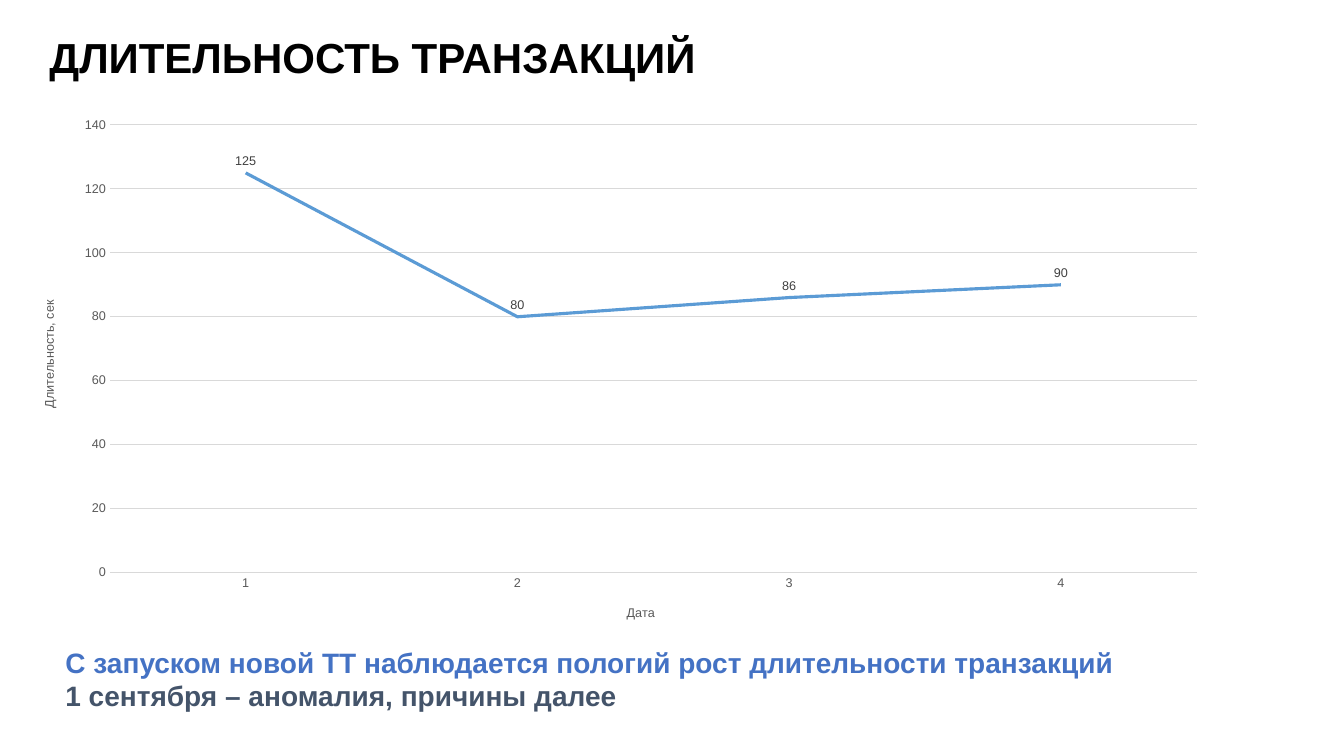
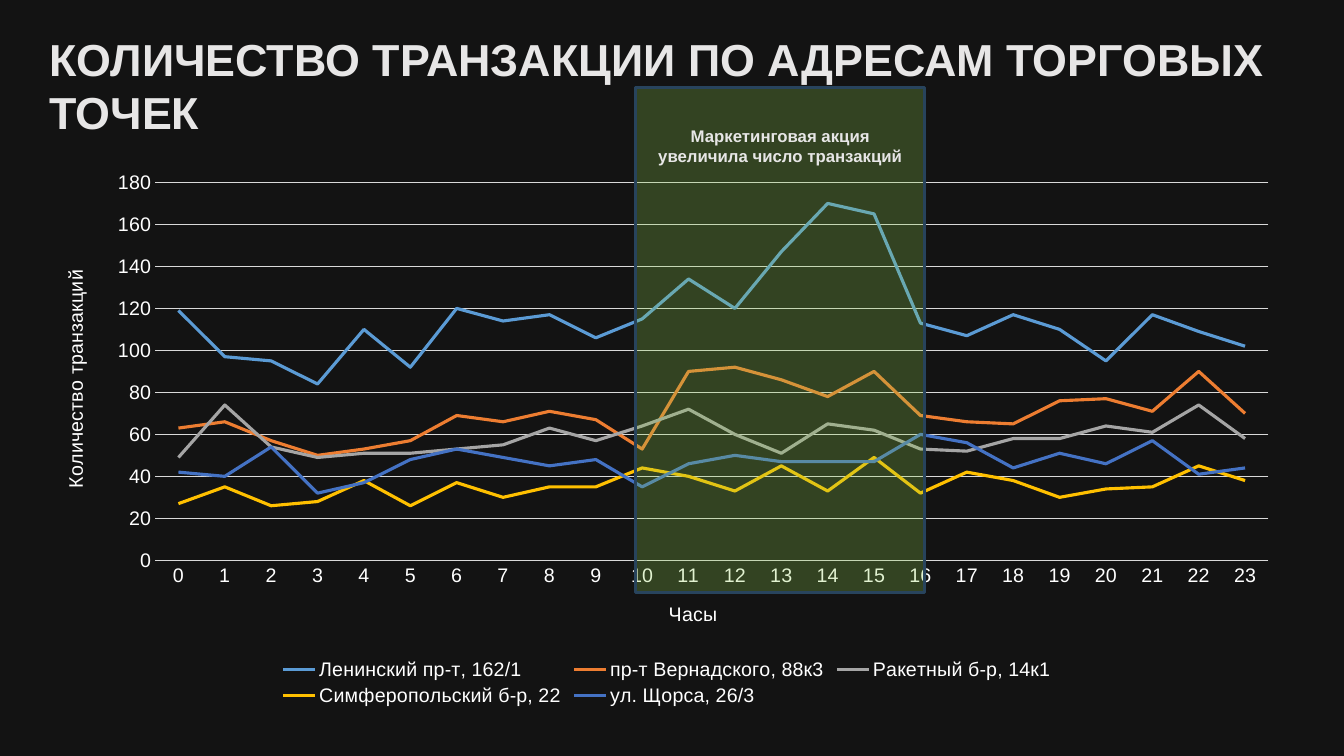
import pptx
import pptx.chart.data
import pptx.dml.color
import pptx.enum.chart
import pptx.enum.shapes
import pptx.enum.text
import pptx.oxml
import pptx.oxml.ns
import pptx.util
from lxml import etree

Inches = pptx.util.Inches
Pt = pptx.util.Pt
RGBColor = pptx.dml.color.RGBColor
qn = pptx.oxml.ns.qn

FONT = "Arial"
BLACK = RGBColor(0x00, 0x00, 0x00)
WHITE = RGBColor(0xFF, 0xFF, 0xFF)
NIGHT = RGBColor(0x13, 0x13, 0x13)
LIGHT = RGBColor(0xE7, 0xE6, 0xE6)
GRID = RGBColor(0xD9, 0xD9, 0xD9)
AXIS_GRAY = RGBColor(0x59, 0x59, 0x59)
LABEL_GRAY = RGBColor(0x40, 0x40, 0x40)
SLATE = RGBColor(0x44, 0x54, 0x6A)
SKY = RGBColor(0x5B, 0x9B, 0xD5)
ORANGE = RGBColor(0xED, 0x7D, 0x31)
GRAY = RGBColor(0xA5, 0xA5, 0xA5)
GOLD = RGBColor(0xFF, 0xC0, 0x00)
BLUE = RGBColor(0x44, 0x72, 0xC4)
GREEN = RGBColor(0x92, 0xD0, 0x50)
NAVY = RGBColor(0x28, 0x44, 0x5D)
SERIES_COLORS = (SKY, ORANGE, GRAY, GOLD, BLUE)


class Deck:
    """Shared style and the slide being built."""

    def __init__(self):
        self.presentation = pptx.Presentation()
        self.presentation.slide_width = Inches(13.33)
        self.presentation.slide_height = Inches(7.5)
        self.slide = None

    def add_slide(self, background):
        layout = self.presentation.slide_layouts.get_by_name("Title Only")
        self.slide = self.presentation.slides.add_slide(layout)
        self.slide.background.fill.solid()
        self.slide.background.fill.fore_color.rgb = background

    def style_font(self, font, size, color, bold=False):
        font.name = FONT
        font.size = Pt(size)
        font.bold = bold
        font.color.rgb = color

    def place(self, shape, box):
        shape.left, shape.top, shape.width, shape.height = map(Inches, box)

    def fill_text(self, shape, lines, size, align=pptx.enum.text.PP_ALIGN.LEFT):
        """Fill a shape with bold paragraphs given as (text, color) pairs."""
        frame = shape.text_frame
        frame.word_wrap = True
        frame.auto_size = pptx.enum.text.MSO_AUTO_SIZE.NONE
        frame.vertical_anchor = pptx.enum.text.MSO_ANCHOR.TOP
        for index, (text, color) in enumerate(lines):
            paragraph = frame.add_paragraph() if index else frame.paragraphs[0]
            paragraph.alignment = align
            run = paragraph.add_run()
            run.text = text
            self.style_font(run.font, size, color, bold=True)

    def title(self, text, size, color, height):
        shape = self.slide.shapes.title
        self.place(shape, (0.39, 0.26, 12.55, height))
        self.fill_text(shape, [(text, color)], size)

    def text(self, box, lines, size, align=pptx.enum.text.PP_ALIGN.LEFT):
        shape = self.slide.shapes.add_textbox(*map(Inches, box))
        self.fill_text(shape, lines, size, align)

    def highlight(self, box, fill, opacity, line):
        """Translucent rectangle laid over part of a chart."""
        shape = self.slide.shapes.add_shape(
            pptx.enum.shapes.MSO_SHAPE.RECTANGLE, *map(Inches, box))
        shape.shadow.inherit = False
        shape.fill.solid()
        shape.fill.fore_color.rgb = fill
        color = shape._element.spPr.find(qn("a:solidFill"))[0]
        etree.SubElement(color, qn("a:alpha")).set("val", str(opacity * 1000))
        shape.line.color.rgb = line
        shape.line.width = Pt(2)

    def axis(self, axis, title, size, color):
        axis.major_tick_mark = pptx.enum.chart.XL_TICK_MARK.NONE
        axis.minor_tick_mark = pptx.enum.chart.XL_TICK_MARK.NONE
        self.style_font(axis.tick_labels.font, size, color)
        run = axis.axis_title.text_frame.paragraphs[0].add_run()
        run.text = title
        self.style_font(run.font, size, color)

    def fix_plot(self, chart, box, plot):
        """Pin the inner plot area, given in slide inches."""
        left, top, width, height = box
        shares = {"x": (plot[0] - left) / width, "y": (plot[1] - top) / height,
                  "w": plot[2] / width, "h": plot[3] / height}
        area = chart._chartSpace.chart.plotArea
        for old in area.findall(qn("c:layout")):
            area.remove(old)
        layout = etree.Element(qn("c:layout"))
        area.insert(0, layout)
        manual = etree.SubElement(layout, qn("c:manualLayout"))
        settings = [("layoutTarget", "inner"), ("xMode", "edge"), ("yMode", "edge")]
        settings += [(key, f"{share:.4f}") for key, share in shares.items()]
        for tag, value in settings:
            etree.SubElement(manual, qn("c:" + tag)).set("val", value)

    def line_chart(self, box, plot, categories, series, axis_titles, maximum,
                   size, color):
        data = pptx.chart.data.CategoryChartData()
        data.categories = categories
        for name, values in series:
            data.add_series(name, values)
        chart = self.slide.shapes.add_chart(
            pptx.enum.chart.XL_CHART_TYPE.LINE, *map(Inches, box), data).chart
        chart.has_title = False
        chart.has_legend = False
        self.style_font(chart.font, size, color)
        # Transparent chart background
        background = etree.Element(qn("c:spPr"))
        etree.SubElement(background, qn("a:noFill"))
        border = etree.SubElement(background, qn("a:ln"))
        etree.SubElement(border, qn("a:noFill"))
        chart._chartSpace.chart.addnext(background)
        # Axes
        category_axis, value_axis = chart.category_axis, chart.value_axis
        for axis, title in zip((category_axis, value_axis), axis_titles):
            self.axis(axis, title, size, color)
        value_title = value_axis.axis_title.text_frame._txBody.bodyPr
        value_title.set("rot", "-5400000")
        value_title.set("vert", "horz")
        value_axis.minimum_scale = 0
        value_axis.maximum_scale = maximum
        value_axis.major_unit = 20
        value_axis.has_major_gridlines = True
        value_axis.format.line.fill.background()
        for line in (category_axis.format.line, value_axis.major_gridlines.format.line):
            line.color.rgb = GRID
            line.width = Pt(0.75)
        # Series lines
        chart.plots[0].vary_by_categories = False
        for line_series, line_color in zip(chart.plots[0].series, SERIES_COLORS):
            line_series.smooth = False
            line_series.marker.style = pptx.enum.chart.XL_MARKER_STYLE.NONE
            line_series.format.line.color.rgb = line_color
            line_series.format.line.width = Pt(2.25)
        self.fix_plot(chart, box, plot)
        return chart

    def value_labels(self, chart, size, color):
        labels = chart.plots[0].series[0].data_labels
        labels.show_value = True
        labels.position = pptx.enum.chart.XL_LABEL_POSITION.ABOVE
        labels.number_format = "#,##0"
        labels.number_format_is_linked = False
        self.style_font(labels.font, size, color)

    def legend(self, chart, size, color):
        chart.has_legend = True
        chart.legend.position = pptx.enum.chart.XL_LEGEND_POSITION.BOTTOM
        chart.legend.include_in_layout = False
        self.style_font(chart.legend.font, size, color)


def duration_slide(deck):
    deck.add_slide(WHITE)
    deck.title("ДЛИТЕЛЬНОСТЬ ТРАНЗАКЦИЙ", 30, BLACK, 0.61)
    chart = deck.line_chart(
        (0.18, 1.07, 11.92, 5.31), (1.09, 1.24, 10.78, 4.44),
        ["1", "2", "3", "4"], [("Длительность", (125, 80, 86, 90))],
        ("Дата", "Длительность, сек"), 140, 9, AXIS_GRAY)
    deck.value_labels(chart, 9, LABEL_GRAY)
    deck.text((0.55, 6.35, 12.25, 0.77), [
        ("С запуском новой ТТ наблюдается пологий рост длительности транзакций", BLUE),
        ("1 сентября – аномалия, причины далее", SLATE)], 20)


def address_slide(deck):
    deck.add_slide(NIGHT)
    deck.title("КОЛИЧЕСТВО ТРАНЗАКЦИИ ПО АДРЕСАМ ТОРГОВЫХ ТОЧЕК", 32, LIGHT, 1.18)
    series = [
        ("Ленинский пр-т, 162/1",
         (119, 97, 95, 84, 110, 92, 120, 114, 117, 106, 115, 134,
          120, 147, 170, 165, 113, 107, 117, 110, 95, 117, 109, 102)),
        ("пр-т Вернадского, 88к3",
         (63, 66, 57, 50, 53, 57, 69, 66, 71, 67, 53, 90,
          92, 86, 78, 90, 69, 66, 65, 76, 77, 71, 90, 70)),
        ("Ракетный б-р, 14к1",
         (49, 74, 54, 49, 51, 51, 53, 55, 63, 57, 64, 72,
          60, 51, 65, 62, 53, 52, 58, 58, 64, 61, 74, 58)),
        ("Симферопольский б-р, 22",
         (27, 35, 26, 28, 38, 26, 37, 30, 35, 35, 44, 40,
          33, 45, 33, 49, 32, 42, 38, 30, 34, 35, 45, 38)),
        ("ул. Щорса, 26/3",
         (42, 40, 54, 32, 37, 48, 53, 49, 45, 48, 35, 46,
          50, 47, 47, 47, 60, 56, 44, 51, 46, 57, 41, 44)),
    ]
    chart = deck.line_chart(
        (0.4, 1.59, 12.43, 5.46), (1.54, 1.81, 11.04, 3.75),
        [str(hour) for hour in range(24)], series,
        ("Часы", "Количество транзакций"), 180, 14, WHITE)
    deck.legend(chart, 14, WHITE)
    # Campaign hours
    deck.highlight((6.3, 0.87, 2.87, 5.01), GREEN, 26, NAVY)
    deck.text((6.31, 1.2, 2.86, 0.76),
              [("Маркетинговая акция увеличила число транзакций", LIGHT)],
              12, pptx.enum.text.PP_ALIGN.CENTER)


def main():
    deck = Deck()
    duration_slide(deck)
    address_slide(deck)
    deck.presentation.save("out.pptx")


if __name__ == "__main__":
    main()
